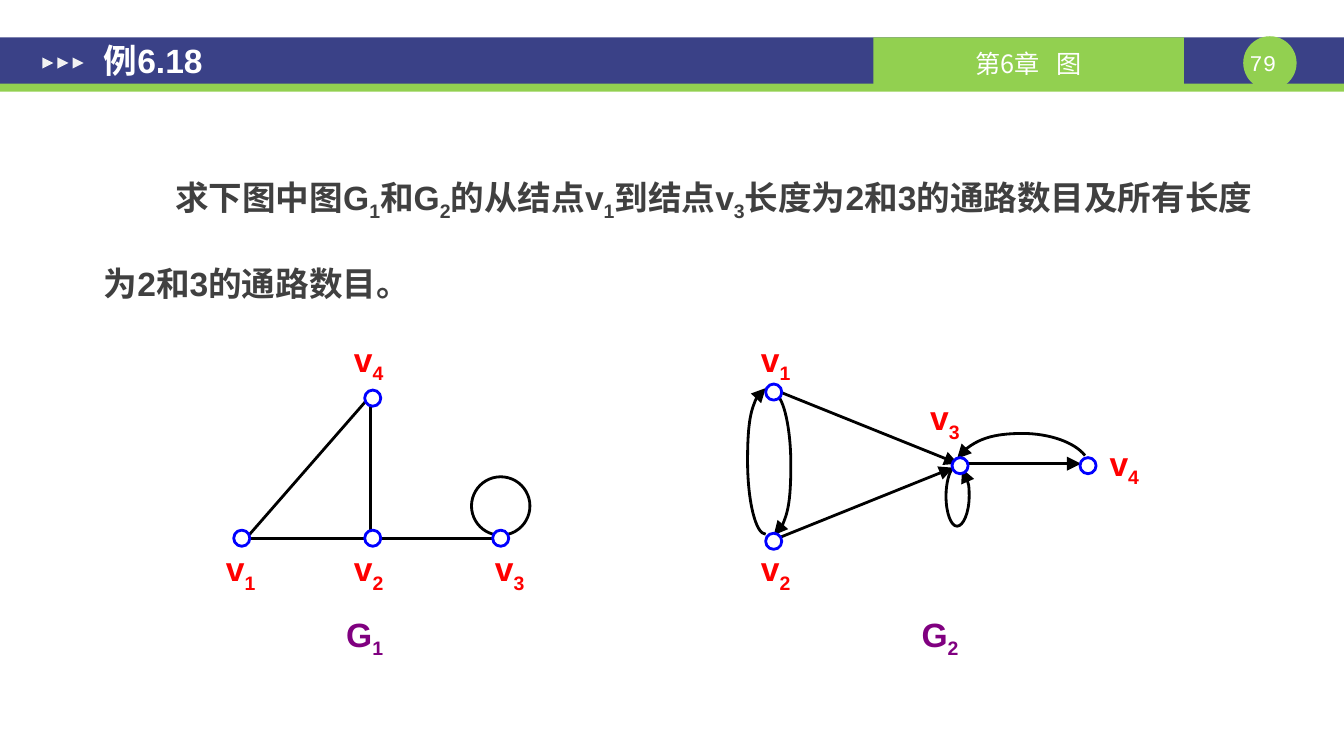
from lxml import etree
from pptx import Presentation
from pptx import util as u
from pptx.dml.color import RGBColor
from pptx.enum import shapes, text
from pptx.oxml import ns

INDIGO, GREEN, WHITE, BLACK = "3A4187", "92D050", "FFFFFF", "000000"
GREY, RED, BLUE, PURPLE = "404040", "FF0000", "0000FF", "800080"
CJK = "Noto Sans CJK SC"

TITLE = "例6.18"
CHAPTER = ["第6章", "图"]
PAGE = "79"
QUESTION = [("求下图中图G", "1"), ("和G", "2"), ("的从结点v", "1"), ("到结点v", "3"),
            ("长度为2和3的通路数目及所有长度为2和3的通路数目。", "")]

BANDS = [("RECTANGLE", 0, 0.37, 13.34, 0.47, INDIGO),
         ("RECTANGLE", 0, 0.83, 13.34, 0.08, GREEN),
         ("OVAL", 12.34, 0.36, 0.53, 0.53, GREEN),
         ("RECTANGLE", 8.67, 0.37, 3.08, 0.47, GREEN)]

VERTEX_LABELS = [("4", 3.43, 3.36), ("2", 3.43, 5.44), ("1", 2.16, 5.44), ("3", 4.83, 5.44),
                 ("1", 7.47, 3.36), ("4", 10.93, 4.39), ("2", 7.47, 5.44), ("3", 9.15, 3.94)]
GRAPH_LABELS = [("1", 3.31, 6.09), ("2", 9.02, 6.09)]
G1_EDGES = [(2.4, 5.39, 3.71, 3.89), (3.73, 5.34, 4.89, 5.34),
            (2.45, 5.34, 3.71, 5.34), (3.68, 5.31, 3.68, 3.91)]
G2_EDGES = [(7.72, 5.34, 9.46, 4.64), (7.67, 3.86, 9.51, 4.6), (9.57, 4.6, 10.73, 4.6)]
G2_ARCS = [
    [(7.6, 5.3), (7.5, 5.3), (7.42, 4.97), (7.42, 4.57), (7.42, 4.17), (7.5, 3.85), (7.6, 3.85)],
    [(7.7, 3.91), (7.78, 3.95), (7.85, 4.25), (7.85, 4.61), (7.85, 5), (7.77, 5.31), (7.68, 5.31)],
    [(10.77, 4.52), (10.67, 4.39), (10.42, 4.3), (10.15, 4.3), (9.85, 4.3), (9.59, 4.4), (9.5, 4.55)],
    [(9.46, 4.64), (9.42, 4.68), (9.39, 4.8), (9.39, 4.92), (9.39, 5.09), (9.44, 5.22), (9.5, 5.22),
     (9.56, 5.22), (9.62, 5.09), (9.62, 4.92), (9.62, 4.8), (9.59, 4.7), (9.55, 4.65)]]
NODES = [(3.62, 5.26), (3.62, 3.87), (7.6, 3.81), (10.72, 4.54),
         (9.45, 4.54), (7.6, 5.29), (4.89, 5.26), (2.32, 5.26)]

deck = Presentation()
deck.slide_width, deck.slide_height = u.Inches(13.34), u.Inches(7.5)
slide = deck.slides.add_slide(deck.slide_layouts[6])


def paint(part, hex_color):
    part.solid()
    part.fore_color.rgb = RGBColor.from_string(hex_color)


def stroke(line, color, arrow=False):
    paint(line.fill, color)
    line.width = u.Pt(2)
    if arrow:
        etree.SubElement(line._get_or_add_ln(), ns.qn("a:tailEnd"), type="triangle", w="lg", len="lg")


def add_preset(kind, x, y, w, h, fill, outline=None):
    preset = slide.shapes.add_shape(getattr(shapes.MSO_SHAPE, kind), *map(u.Inches, (x, y, w, h)))
    preset.shadow.inherit = False
    paint(preset.fill, fill)
    if outline:
        stroke(preset.line, outline)
    else:
        preset.line.fill.background()
    return preset


def add_edge(x1, y1, x2, y2, arrow=False):
    edge = slide.shapes.add_connector(shapes.MSO_CONNECTOR.STRAIGHT, *map(u.Inches, (x1, y1, x2, y2)))
    stroke(edge.line, BLACK, arrow)
    etree.SubElement(edge._element.spPr, ns.qn("a:effectLst"))


def add_arc(controls):
    start, *rest = [tuple(map(u.Inches, point)) for point in controls]
    outline = slide.shapes.build_freeform(*start)
    outline.add_line_segments(rest, close=False)
    arc = outline.convert_to_shape()
    segments = list(arc._element.iter(ns.qn("a:lnTo")))
    track = segments[0].getparent()
    for i in range(0, len(segments), 3):
        curve = etree.SubElement(track, ns.qn("a:cubicBezTo"))
        for segment in segments[i:i + 3]:
            curve.append(segment[0])
            track.remove(segment)
    arc.shadow.inherit = False
    arc.fill.background()
    stroke(arc.line, BLACK, True)


def add_run(paragraph, words, size, color, font="Arial", bold=True, sub=False):
    run = paragraph.add_run()
    run.text = words
    run.font.size, run.font.bold, run.font.name = u.Pt(size), bold, font
    paint(run.font.fill, color)
    props = run._r.get_or_add_rPr()
    etree.SubElement(props, ns.qn("a:ea"), typeface=CJK)
    if sub:
        props.set("baseline", "-25000")
    return props


def set_frame(frame, margins=(0, 0, 0, 0), anchor="TOP", align="CENTER"):
    frame.word_wrap = True
    frame.margin_left, frame.margin_top, frame.margin_right, frame.margin_bottom = map(u.Inches, margins)
    frame.vertical_anchor = getattr(text.MSO_ANCHOR, anchor)
    paragraph = frame.paragraphs[0]
    paragraph.alignment = getattr(text.PP_ALIGN, align)
    return paragraph


def add_text(x, y, w, h, **layout):
    box = slide.shapes.add_textbox(*map(u.Inches, (x, y, w, h)))
    return set_frame(box.text_frame, **layout)


def add_label(letter, index, x, y, width, color):
    label = add_text(x, y, width, 0.58)
    add_run(label, letter, 24, color)
    add_run(label, index, 24, color, sub=True)


for band in BANDS:
    chapter_band = add_preset(*band)
chapter = set_frame(chapter_band.text_frame, margins=(0.1, 0.04, 0.1, 0), anchor="MIDDLE")
add_run(chapter, CHAPTER[0], 18, WHITE, CJK, False)
add_run(chapter, " ", 18, WHITE, CJK, False).set("spc", "800")
add_run(chapter, CHAPTER[1], 18, WHITE, CJK, False)
add_run(add_text(12.27, 0.49, 0.53, 0.27), PAGE, 16, WHITE, "Courier New", False)

for i in range(3):
    marker = add_preset("ISOSCELES_TRIANGLE", 0.42 + 0.15 * i, 0.57, 0.11, 0.11, "F2F2F2")
    marker.rotation = 90

inset = (0.13, 0.07, 0.13, 0.07)
add_run(add_text(0.9, 0.17, 10.27, 0.86, margins=inset, anchor="MIDDLE", align="LEFT"), TITLE, 24, WHITE)
question = add_text(0.9, 1.23, 11.76, 1.93, margins=inset, align="LEFT")
question.line_spacing = 2.0
question._p.get_or_add_pPr().set("indent", str(u.Inches(0.71)))
for words, index in QUESTION:
    add_run(question, words, 24, GREY)
    if index:
        add_run(question, index, 24, GREY, sub=True)

add_preset("OVAL", 4.68, 4.73, 0.58, 0.58, WHITE, BLACK)
for index, x, y in VERTEX_LABELS:
    add_label("v", index, x, y, 0.46, RED)
for index, x, y in GRAPH_LABELS:
    add_label("G", index, x, y, 0.62, PURPLE)
for ends in G1_EDGES:
    add_edge(*ends)
for ends in G2_EDGES:
    add_edge(*ends, arrow=True)
for controls in G2_ARCS:
    add_arc(controls)
for x, y in NODES:
    add_preset("OVAL", x, y, 0.16, 0.16, WHITE, BLUE)

deck.save("out.pptx")
